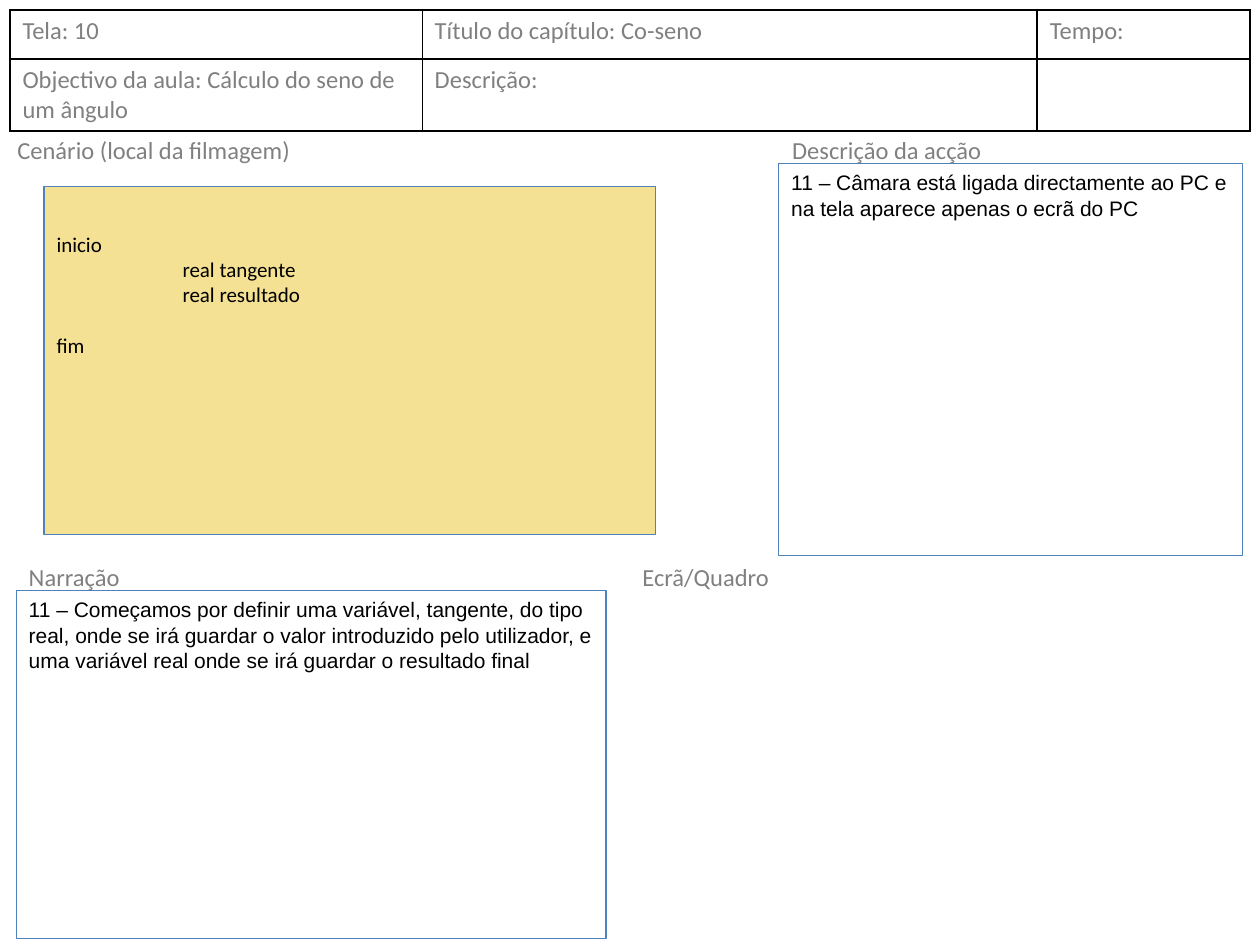
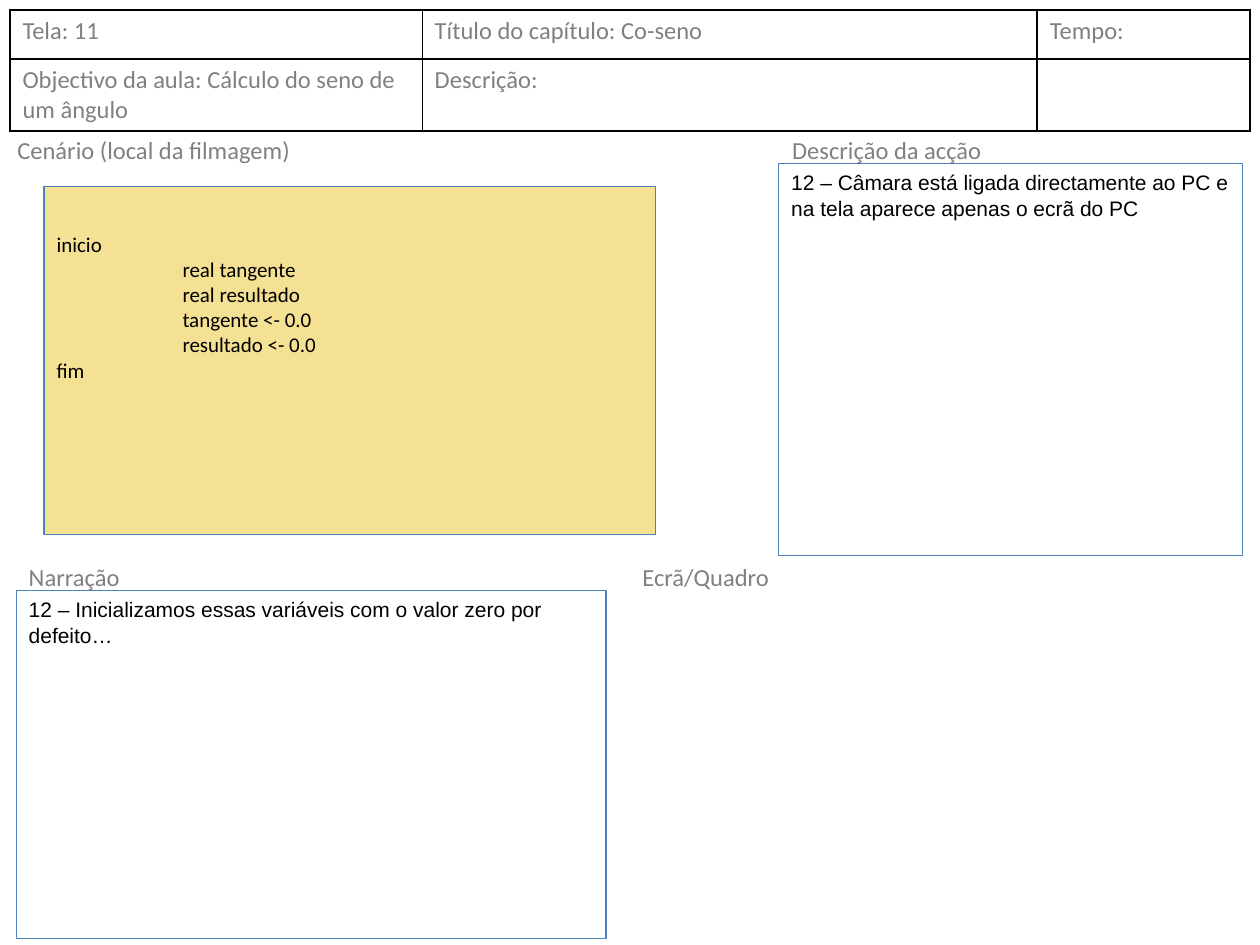
from dataclasses import dataclass

from lxml.etree import SubElement
from pptx import Presentation
from pptx.dml.color import RGBColor
from pptx.enum.shapes import MSO_SHAPE
from pptx.enum.text import MSO_ANCHOR, PP_ALIGN
from pptx.oxml.ns import qn
from pptx.util import Cm, Pt


@dataclass(frozen=True)
class Theme:
    """Colours, fonts and sizes shared by every storyboard slide."""

    label: RGBColor = RGBColor(0x80, 0x80, 0x80)
    body: RGBColor = RGBColor(0x00, 0x00, 0x00)
    outline: RGBColor = RGBColor(0x4F, 0x81, 0xBD)
    scene: RGBColor = RGBColor(0xF4, 0xE1, 0x93)
    rule: str = "000000"
    label_font: str = "Calibri"
    body_font: str = "Arial"
    label_size: Pt = Pt(14)
    body_size: Pt = Pt(12)
    code_gap: Pt = Pt(14.65)
    code_indent: Cm = Cm(2.54)
    outline_width: Pt = Pt(0.75)
    thick_rule: Pt = Pt(1.5)
    thin_rule: Pt = Pt(0.75)


@dataclass(frozen=True)
class Screen:
    """Content that changes from one storyboard screen to the next."""

    number: int
    declarations: tuple
    gap_before_end: bool
    narration: str


THEME = Theme()
COLUMNS = (8.31, 12.4, 4.29)
ROWS = (0.99, 1.45)
LABELS = (
    ("Cenário (local da filmagem)", (0.1, 2.59, 10.59, 0.84)),
    ("Descrição da acção", (15.72, 2.59, 6.4, 0.84)),
    ("Narração", (0.33, 11.2, 11.79, 0.84)),
    ("Ecrã/Quadro", (12.7, 11.2, 11.79, 0.84)),
)
SCENE_AREA = (0.89, 3.76, 12.32, 7.01)
ACTION_AREA = (15.7, 3.3, 9.35, 7.9)
NARRATION_AREA = (0.33, 11.91, 11.89, 7.01)
ACTION = "Câmara está ligada directamente ao PC e na tela aparece apenas o ecrã do PC"
SCREENS = (
    Screen(
        10,
        ("real tangente", "real resultado"),
        True,
        "Começamos por definir uma variável, tangente, do tipo real, onde se irá "
        "guardar o valor introduzido pelo utilizador, e uma variável real onde se "
        "irá guardar o resultado final",
    ),
    Screen(
        11,
        ("real tangente", "real resultado", "tangente <- 0.0", "resultado <- 0.0"),
        False,
        "Inicializamos essas variáveis com o valor zero por defeito…",
    ),
)


def style(paragraph, font_name, size, color):
    """Left-align a paragraph and set its font."""
    paragraph.alignment = PP_ALIGN.LEFT
    paragraph.font.name = font_name
    paragraph.font.size = size
    paragraph.font.color.rgb = color


def style_label(paragraph):
    """Apply the grey heading style."""
    style(paragraph, THEME.label_font, THEME.label_size, THEME.label)


def add_borders(cell, widths):
    """Draw the left, right, top and bottom rules of a cell."""
    properties = cell._tc.get_or_add_tcPr()
    for position, (side, width) in enumerate(zip("LRTB", widths)):
        border = SubElement(properties, qn(f"a:ln{side}"), w=str(int(width)))
        ink = SubElement(border, qn("a:solidFill"))
        SubElement(ink, qn("a:srgbClr"), val=THEME.rule)
        properties.insert(position, border)


def add_header(slide, number):
    """Add the ruled table that identifies the screen."""
    entries = (
        (f"Tela: {number}", "Título do capítulo: Co-seno", "Tempo:"),
        ("Objectivo da aula: Cálculo do seno de um ângulo", "Descrição:", ""),
    )
    header = slide.shapes.add_table(
        len(ROWS), len(COLUMNS), Cm(0.2), Cm(0.2), Cm(sum(COLUMNS)), Cm(sum(ROWS))
    ).table
    header.first_row = header.horz_banding = False
    for column, width in zip(header.columns, COLUMNS):
        column.width = Cm(width)
    for row, height in zip(header.rows, ROWS):
        row.height = Cm(height)
    thick, thin = THEME.thick_rule, THEME.thin_rule
    vertical_rules = (thick, thin, thick, thick)
    horizontal_rules = (thick, thin, thick)
    for r, row_entries in enumerate(entries):
        for c, entry in enumerate(row_entries):
            cell = header.cell(r, c)
            cell.text = entry
            cell.fill.background()
            style_label(cell.text_frame.paragraphs[0])
            add_borders(cell, vertical_rules[c:c + 2] + horizontal_rules[r:r + 2])


def add_label(slide, wording, area):
    """Add a grey heading above a panel."""
    frame = slide.shapes.add_textbox(*map(Cm, area)).text_frame
    frame.word_wrap = True
    frame.text = wording
    style_label(frame.paragraphs[0])


def add_panel(slide, area, lines, font_name, fill=None):
    """Add an outlined panel of text and return its text frame."""
    panel = slide.shapes.add_shape(MSO_SHAPE.RECTANGLE, *map(Cm, area))
    panel.shadow.inherit = False
    panel.line.color.rgb = THEME.outline
    panel.line.width = THEME.outline_width
    if fill is None:
        panel.fill.background()
    else:
        panel.fill.solid()
        panel.fill.fore_color.rgb = fill
    frame = panel.text_frame
    frame.word_wrap = True
    frame.vertical_anchor = MSO_ANCHOR.TOP
    frame.text = "\n".join(lines)
    for paragraph in frame.paragraphs:
        style(paragraph, font_name, THEME.body_size, THEME.body)
    return frame


def add_scene(slide, screen):
    """Add the program listing with its indented declarations."""
    listing = add_panel(
        slide,
        SCENE_AREA,
        ("inicio", *screen.declarations, "fim"),
        THEME.label_font,
        THEME.scene,
    )
    listing.margin_top = Cm(0.9)
    *declarations, end = listing.paragraphs[1:]
    for declaration in declarations:
        declaration._p.get_or_add_pPr().set("marL", str(int(THEME.code_indent)))
    if screen.gap_before_end:
        end.space_before = THEME.code_gap


def add_screen(deck, screen):
    """Build one storyboard slide."""
    slide = deck.slides.add_slide(deck.slide_layouts.get_by_name("Blank"))
    step = screen.number + 1
    add_header(slide, screen.number)
    add_scene(slide, screen)
    for area, wording in ((NARRATION_AREA, screen.narration), (ACTION_AREA, ACTION)):
        add_panel(slide, area, (f"{step} – {wording}",), THEME.body_font)
    for wording, area in LABELS:
        add_label(slide, wording, area)


def main():
    """Create and save the storyboard."""
    deck = Presentation()
    deck.slide_width, deck.slide_height = Cm(25.4), Cm(19.05)
    for screen in SCREENS:
        add_screen(deck, screen)
    deck.save("out.pptx")


if __name__ == "__main__":
    main()
